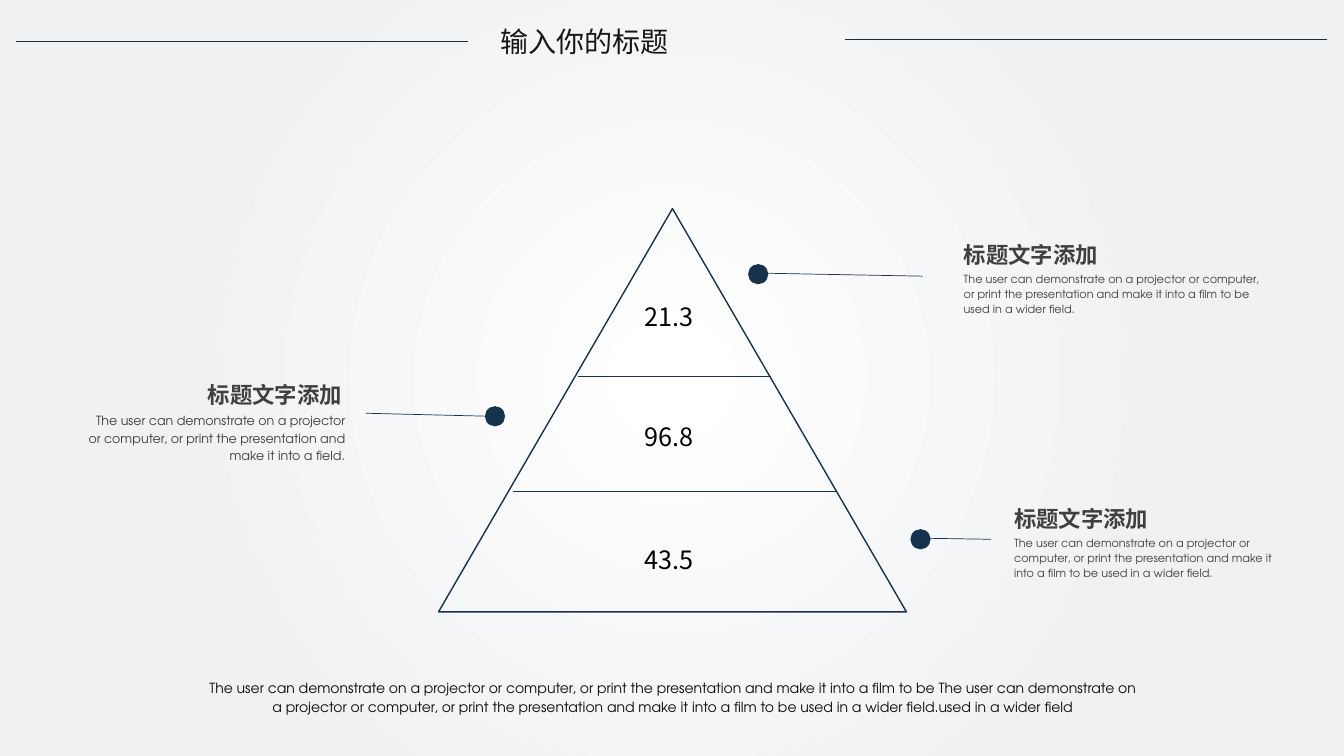
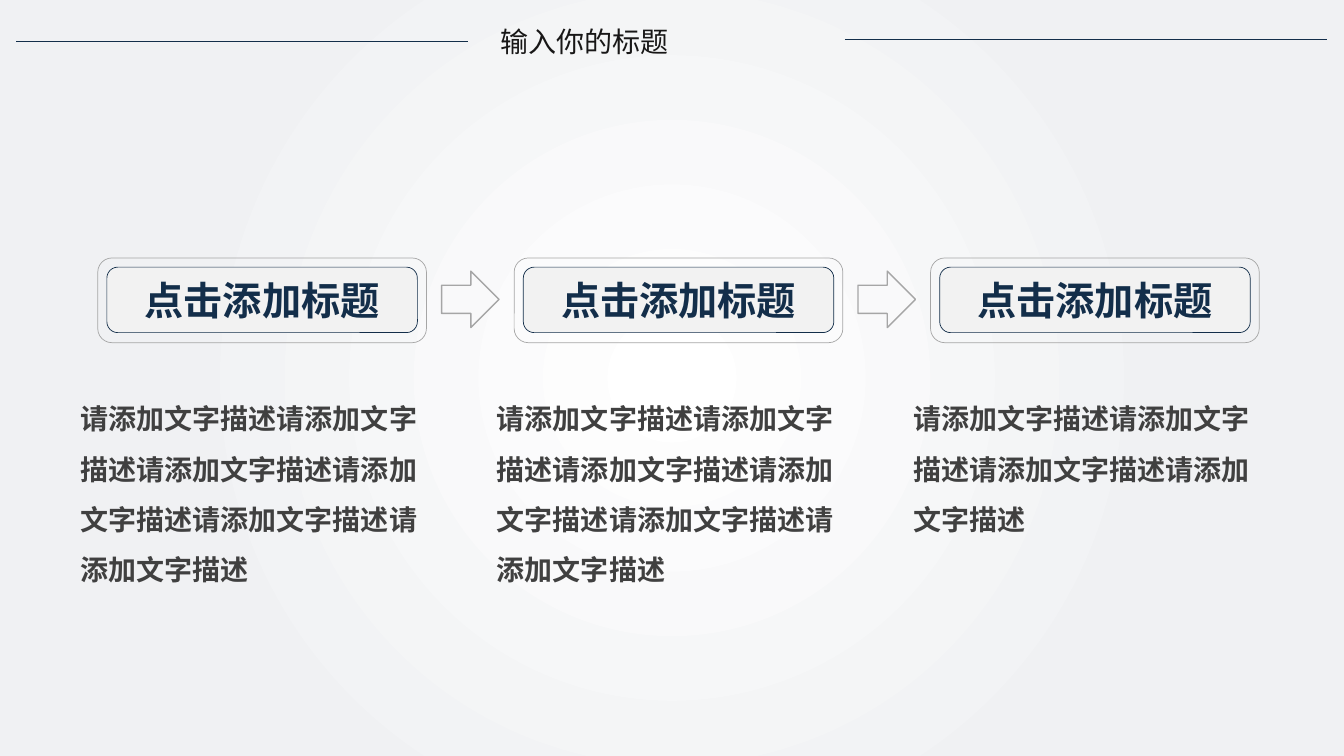
from lxml.etree import SubElement
from pptx import Presentation
from pptx.dml.color import RGBColor
from pptx.enum.shapes import MSO_CONNECTOR, MSO_SHAPE
from pptx.enum.text import MSO_ANCHOR, MSO_AUTO_SIZE, PP_ALIGN
from pptx.oxml.ns import qn
from pptx.util import Inches, Pt

COLORS = {
    "white": "FFFFFF", "mist": "F0F1F3", "panel": "F2F2F2", "gray": "A6A6A6",
    "body": "404040", "ink": "0D0D0D", "black": "000000", "title": "181717",
    "navy": "17324D", "deep": "132E4A",
}
CJK, LATIN = "Noto Sans CJK SC", "TeX Gyre Adventor"

TITLE = "输入你的标题"
HEADER_RULES = [(0.16, 0.41, 4.64, 0.41), (8.38, 0.39, 13.16, 0.39)]

SENTENCE = "The user can demonstrate on a projector or computer, or print the presentation and make it into a "
FILM = SENTENCE + "film to be "
WIDER = FILM + "used in a wider field."
SUMMARY = FILM + WIDER + "used in a wider field"

PYRAMID = (4.35, 2.07, 4.64, 4)
DIVIDERS = [(5.73, 3.73, 7.65, 3.73), (5.09, 4.87, 8.29, 4.87)]
LEVELS = [("21.3", 2.94), ("96.8", 4.13), ("43.5", 5.35)]
DOT = 0.2
CALLOUT_HEAD = "标题文字添加"
CALLOUTS = [
    {"dot": (7.42, 2.62), "line": (7.56, 2.71, 9.15, 2.74),
     "head": (9.46, 2.29, 2.45, 0.42), "box": (9.46, 2.63, 3.16, 0.56),
     "text": WIDER, "size": 8, "align": PP_ALIGN.LEFT},
    {"dot": (9.03, 5.25), "line": (9.17, 5.34, 9.83, 5.35),
     "head": (9.96, 4.91, 2.45, 0.42), "box": (9.96, 5.25, 2.88, 0.56),
     "text": WIDER, "size": 8, "align": PP_ALIGN.LEFT},
    {"dot": (4.81, 4.03), "line": (4.87, 4.13, 3.63, 4.1),
     "head": (1.04, 3.68, 2.45, 0.42), "box": (0.71, 4.03, 2.81, 0.62),
     "text": SENTENCE + "field.", "size": 9, "align": PP_ALIGN.RIGHT},
]

STEP_HEAD = "点击添加标题"
STEP_PHRASE = "请添加文字描述"
STEPS = [(6, 2.12), (6, 2.12), (4, 1.62)]  # phrase repeats, text height
STEP_LEFT, STEP_PITCH = 0.97, 4.13


def rgb(name):
    """Return the named colour."""
    return RGBColor.from_string(COLORS[name])


def write(tf, text, size, color, font=CJK, bold=False, align=PP_ALIGN.LEFT, spacing=None):
    """Put one formatted paragraph into a text frame."""
    tf.word_wrap = True
    p = tf.paragraphs[0]
    p.alignment = align
    if spacing:
        p.line_spacing = spacing
    r = p.add_run()
    r.text = text
    r.font.size = Pt(size)
    r.font.bold = bold
    r.font.color.rgb = rgb(color)
    r.font.name = font
    SubElement(r._r.get_or_add_rPr(), qn("a:ea"), typeface=font)


def add_text(s, box, text, size, color, **style):
    """Add a text box that grows with its text."""
    tf = s.shapes.add_textbox(*map(Inches, box)).text_frame
    write(tf, text, size, color, **style)
    tf.auto_size = MSO_AUTO_SIZE.SHAPE_TO_FIT_TEXT


def add_shape(s, kind, box, fill=None, line=None, width=1):
    """Add a flat preset shape with optional fill and outline."""
    sp = s.shapes.add_shape(kind, *map(Inches, box))
    sp.shadow.inherit = False
    if fill:
        sp.fill.solid()
        sp.fill.fore_color.rgb = rgb(fill)
    else:
        sp.fill.background()
    if line:
        sp.line.color.rgb = rgb(line)
        sp.line.width = Pt(width)
    else:
        sp.line.fill.background()
    return sp


def add_line(s, ends, color, width):
    """Add a straight line without a shadow."""
    cn = s.shapes.add_connector(MSO_CONNECTOR.STRAIGHT, *map(Inches, ends))
    cn.line.color.rgb = rgb(color)
    cn.line.width = Pt(width)
    SubElement(cn._element.spPr, qn("a:effectLst"))


def set_background(master):
    """Give the master a radial glow from the centre."""
    fill = master.background.fill
    fill.gradient()
    for stop, color, position in zip(fill.gradient_stops, ("white", "mist"), (0, 0.67)):
        stop.color.rgb = rgb(color)
        stop.position = position
    lin = next(master.element.iter(qn("a:lin")))
    grad = lin.getparent()
    grad.remove(lin)
    glow = SubElement(grad, qn("a:path"), path="circle")
    SubElement(glow, qn("a:fillToRect"), {side: "50000" for side in "ltrb"})


def add_slide(prs):
    """Add a slide with the shared title and header rules."""
    s = prs.slides.add_slide(prs.slide_layouts[5])
    sp = s.shapes.title
    sp.left, sp.top, sp.width, sp.height = map(Inches, (4.96, 0.24, 3.01, 0.34))
    tf = sp.text_frame
    tf.margin_left = tf.margin_top = tf.margin_right = tf.margin_bottom = 0
    tf.vertical_anchor = MSO_ANCHOR.MIDDLE
    write(tf, TITLE, 20, "title", align=PP_ALIGN.JUSTIFY)
    for ends in HEADER_RULES:
        add_line(s, ends, "deep", 1)
    return s


def build_pyramid(prs):
    """Build the three-level pyramid with its callouts."""
    s = add_slide(prs)
    add_text(s, (1.93, 6.67, 9.48, 0.47), SUMMARY, 10, "ink", font=LATIN,
             align=PP_ALIGN.CENTER, spacing=1.14)
    add_shape(s, MSO_SHAPE.ISOSCELES_TRIANGLE, PYRAMID, line="navy")
    for ends in DIVIDERS:
        add_line(s, ends, "navy", 0.5)
    for value, top in LEVELS:
        add_text(s, (6.29, top, 0.79, 0.4), value, 18, "black")
    for c in CALLOUTS:
        add_shape(s, MSO_SHAPE.OVAL, (*c["dot"], DOT, DOT), fill="navy")
        add_line(s, c["line"], "navy", 0.5)
        add_text(s, c["head"], CALLOUT_HEAD, 16, "body", bold=True,
                 align=c["align"], spacing=1.2)
        add_text(s, c["box"], c["text"], c["size"], "body", font=LATIN,
                 align=c["align"], spacing=1.14)


def build_steps(prs):
    """Build the row of framed steps joined by arrows."""
    s = add_slide(prs)
    for i, (repeats, height) in enumerate(STEPS):
        x = STEP_LEFT + i * STEP_PITCH
        panel = add_shape(s, MSO_SHAPE.ROUNDED_RECTANGLE, (x + 0.09, 2.65, 3.08, 0.65),
                          fill="panel", line="deep", width=0.5)
        panel.text_frame.vertical_anchor = MSO_ANCHOR.MIDDLE
        write(panel.text_frame, STEP_HEAD, 28, "deep", bold=True, align=PP_ALIGN.CENTER)
        add_shape(s, MSO_SHAPE.ROUNDED_RECTANGLE, (x, 2.56, 3.26, 0.84),
                  line="gray", width=0.5)
        add_text(s, (x - 0.27, 3.77, 3.8, height), STEP_PHRASE * repeats, 20, "body",
                 bold=True, spacing=1.5)
        if i < len(STEPS) - 1:
            add_shape(s, MSO_SHAPE.RIGHT_ARROW, (x + 3.41, 2.69, 0.57, 0.56), line="gray")


prs = Presentation()
prs.slide_width, prs.slide_height = Inches(13.33), Inches(7.5)
set_background(prs.slide_master)
build_pyramid(prs)
build_steps(prs)
prs.save("out.pptx")
